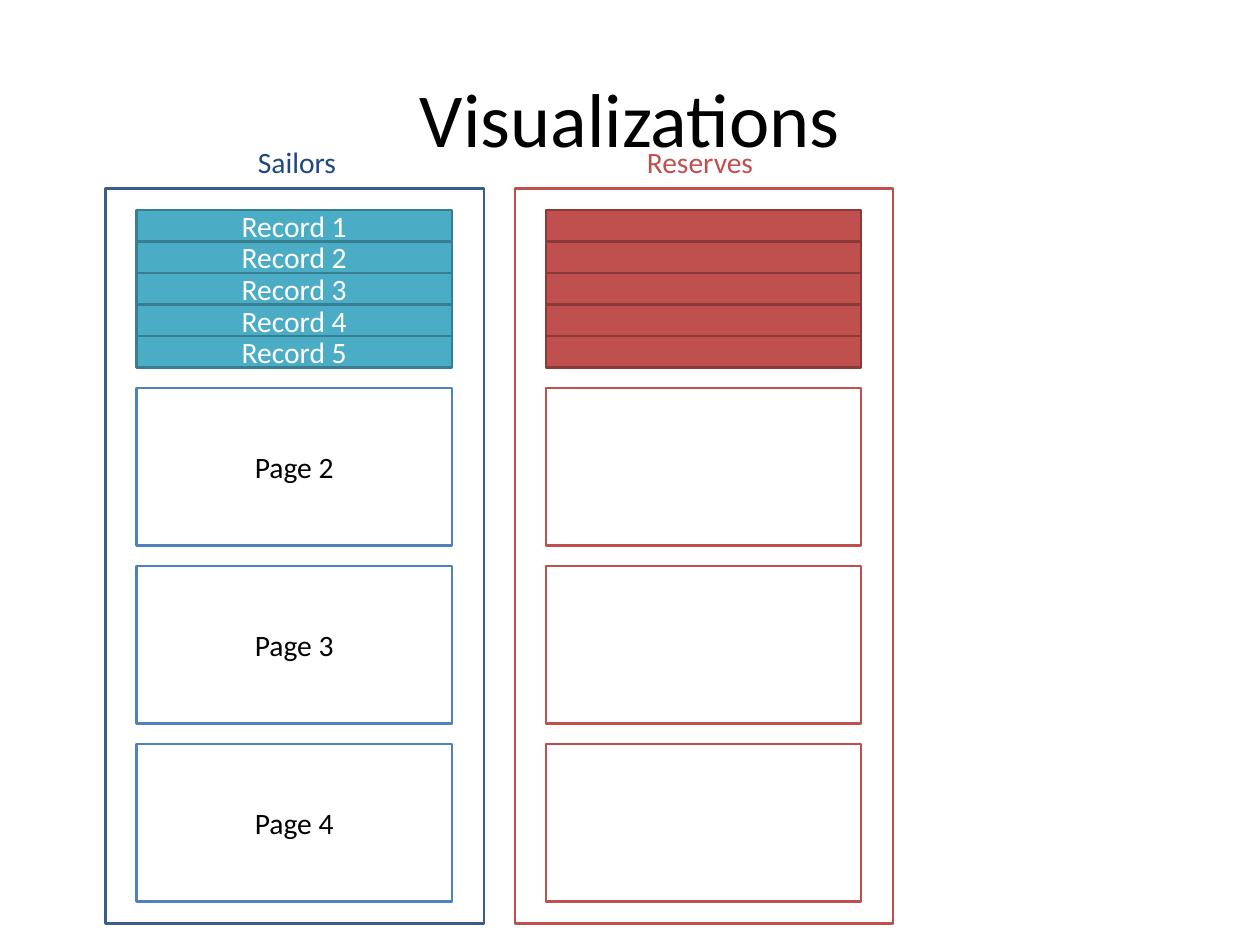
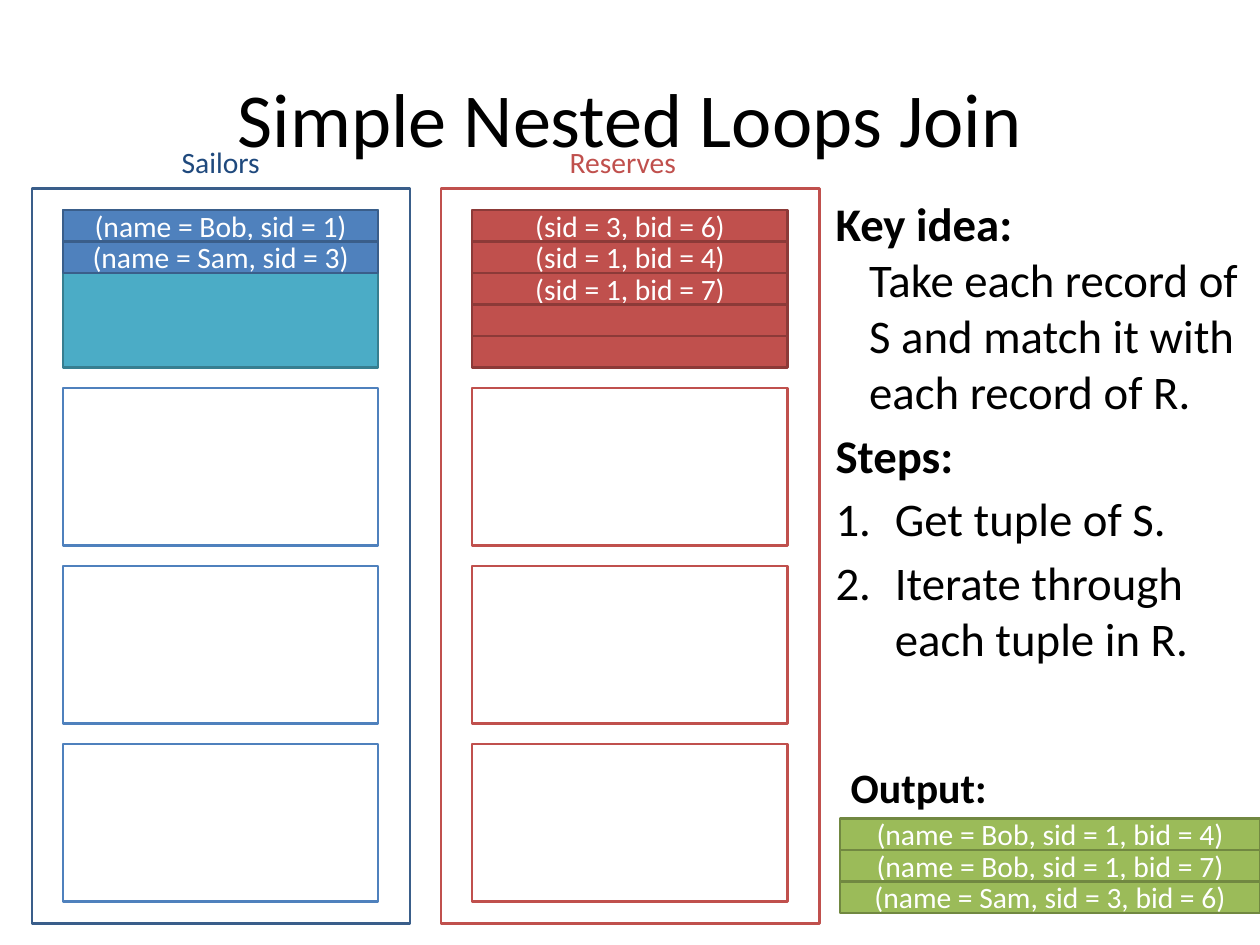
"""Builds two slides that show tables as pages of records and a simple nested loops join."""
from pptx import Presentation
from pptx.dml.color import RGBColor
from pptx.enum.shapes import MSO_SHAPE as Shape
from pptx.enum.text import MSO_ANCHOR as Anchor, PP_ALIGN as Align
from pptx.util import Inches, Pt
from lxml.etree import SubElement
from pptx.oxml.ns import qn

FONT = "Calibri"
BLACK, WHITE = "000000", "FFFFFF"
NAVY, BLUE, BLUE_EDGE = "1F497D", "4F81BD", "3A5E8A"
TEAL, TEAL_EDGE = "4BACC6", "377E90"
RED, RED_EDGE = "C0504D", "8C3A38"
GREEN, GREEN_EDGE = "9BBB59", "718841"
INSET = 0.07
FRAME_TOP, FRAME_WIDTH, FRAME_HEIGHT = 2.13, 4.27, 8.3
PAGE_TOP, PAGE_WIDTH, PAGE_HEIGHT, PAGE_STEP = 2.37, 3.56, 1.78, 2.01
PAGE_MARGIN = 0.35
RECORD_HEIGHT = PAGE_HEIGHT / 5


def add_words(frame, words, size, ink, bold=False, align=Align.LEFT, inset=INSET, wrap=True):
    frame.word_wrap = wrap
    frame.margin_left = frame.margin_right = Inches(INSET)
    frame.margin_top = frame.margin_bottom = Inches(inset)
    paragraph = frame.paragraphs[0]
    paragraph.alignment = align
    run = paragraph.add_run()
    run.text = words
    run.font.name, run.font.size, run.font.bold = FONT, Pt(size), bold
    run.font.color.rgb = RGBColor.from_string(ink)


def add_box(slide, left, top, width, height, fill, edge, words="", ink=WHITE):
    box = slide.shapes.add_shape(Shape.RECTANGLE, Inches(left), Inches(top), Inches(width), Inches(height))
    box.shadow.inherit = False
    if fill:
        box.fill.solid()
        box.fill.fore_color.rgb = RGBColor.from_string(fill)
    else:
        box.fill.background()
    box.line.color.rgb = RGBColor.from_string(edge)
    box.line.width = Pt(2)
    if words:
        box.text_frame.vertical_anchor = Anchor.MIDDLE
        add_words(box.text_frame, words, 24, ink, align=Align.CENTER, inset=0)


SAILORS = {"name": "Sailors", "ink": NAVY, "frame": (None, BLUE_EDGE), "page": BLUE}
RESERVES = {"name": "Reserves", "ink": RED, "frame": (WHITE, RED), "page": RED}
NO_PAGES = [""] * 3
SLIDES = [
    ("Visualizations", [
        (SAILORS, 1.19, 2.84, (TEAL, TEAL_EDGE), [f"Record {n}" for n in range(1, 6)],
         [f"Page {n}" for n in range(2, 5)]),
        (RESERVES, 5.81, 7.23, (RED, RED_EDGE), [""] * 5, NO_PAGES),
    ]),
    ("Simple Nested Loops Join", [
        (SAILORS, 0.36, 1.98, (BLUE, BLUE_EDGE),
         ["(name = Bob, sid = 1)", "(name = Sam, sid = 3)"], NO_PAGES),
        (RESERVES, 4.98, 6.36, (RED, RED_EDGE),
         ["(sid = 3, bid = 6)", "(sid = 1, bid = 4)", "(sid = 1, bid = 7)", "", ""], NO_PAGES),
    ]),
]

deck = Presentation()
deck.slide_width, deck.slide_height = Inches(14.22), Inches(10.67)

for heading, tables in SLIDES:
    slide = deck.slides.add_slide(deck.slide_layouts[6])
    title = slide.shapes.add_textbox(Inches(0.71), Inches(0.43), Inches(12.8), Inches(1.78))
    title.text_frame.vertical_anchor = Anchor.MIDDLE
    add_words(title.text_frame, heading, 62, BLACK, align=Align.CENTER)

    for table, left, label_left, record_colours, records, pages in tables:
        add_box(slide, left, FRAME_TOP, FRAME_WIDTH, FRAME_HEIGHT, *table["frame"])
        label = slide.shapes.add_textbox(Inches(label_left), Inches(1.56), Inches(1.04 if table is SAILORS else 1.36), Inches(0.55))
        add_words(label.text_frame, table["name"], 24, table["ink"], wrap=False)
        page_left = left + PAGE_MARGIN
        if len(records) < 5:
            add_box(slide, page_left, PAGE_TOP, PAGE_WIDTH, PAGE_HEIGHT, TEAL, TEAL_EDGE)
        for row, record in enumerate(records):
            add_box(slide, page_left, PAGE_TOP + row * RECORD_HEIGHT, PAGE_WIDTH, RECORD_HEIGHT,
                    *record_colours, record)
        for number, page in enumerate(pages, 1):
            add_box(slide, page_left, PAGE_TOP + number * PAGE_STEP, PAGE_WIDTH, PAGE_HEIGHT,
                    WHITE, table["page"], page, BLACK)

explanation = slide.shapes.add_textbox(Inches(9.36), Inches(2.13), Inches(4.86), Inches(6.4)).text_frame
add_words(explanation, "Key idea:", 38, BLACK, bold=True)
explanation.paragraphs[0].add_line_break()
steps = [
    (explanation.paragraphs[0], "Take each record of S and match it with each record of R.", False, 0.38),
    (explanation.add_paragraph(), "Steps:", True, 0.38),
    (explanation.add_paragraph(), "Get tuple of S.", False, 0.67),
    (explanation.add_paragraph(), "Iterate through each tuple in R.", False, 0.67),
]
for paragraph, words, bold, indent in steps:
    run = paragraph.add_run()
    run.text = words
    run.font.name, run.font.size, run.font.bold = FONT, Pt(38), bold
    run.font.color.rgb = RGBColor.from_string(BLACK)
    paragraph.space_before = Pt(6)
    properties = paragraph._p.get_or_add_pPr()
    properties.set("marL", str(Inches(indent)))
    properties.set("indent", str(-Inches(indent)))
    if indent > 0.5:
        SubElement(properties, qn("a:buAutoNum"), type="arabicPeriod")

output = slide.shapes.add_textbox(Inches(9.53), Inches(8.53), Inches(1.69), Inches(0.71))
add_words(output.text_frame, "Output:", 34, BLACK, bold=True, wrap=False)
joined = ["(name = Bob, sid = 1, bid = 4)", "(name = Bob, sid = 1, bid = 7)", "(name = Sam, sid = 3, bid = 6)"]
for row, record in enumerate(joined):
    add_box(slide, 9.48, 9.24 + row * RECORD_HEIGHT, 4.74, RECORD_HEIGHT, GREEN, GREEN_EDGE, record)

deck.save("out.pptx")
